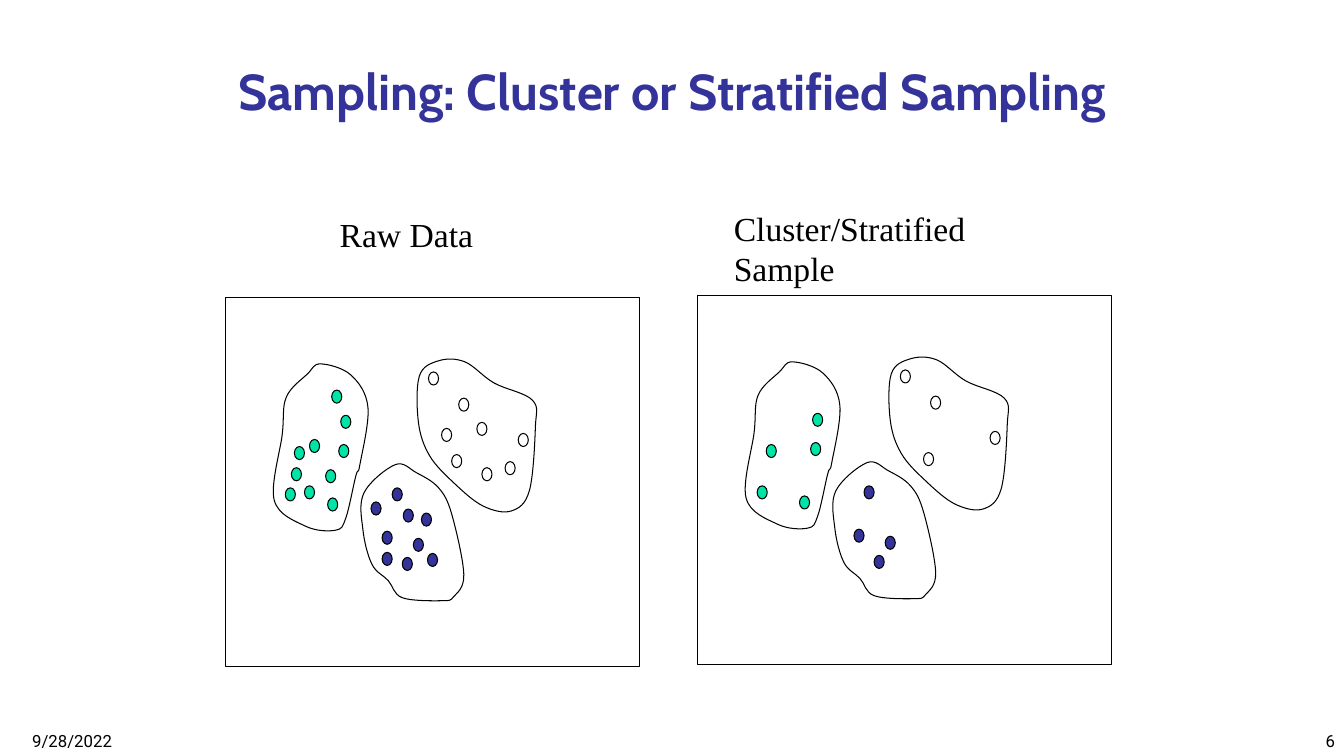
import pptx
import pptx.dml.color
import pptx.enum.shapes
import pptx.enum.text
import pptx.oxml.ns
import pptx.util

ALIGN = pptx.enum.text.PP_ALIGN
ANCHOR = pptx.enum.text.MSO_ANCHOR
PRESET = pptx.enum.shapes.MSO_SHAPE

BLACK, WHITE, NAVY, MINT = "000000", "FFFFFF", "333399", "00E4A8"


def colour(hex_string):
    return pptx.dml.color.RGBColor.from_string(hex_string)


def smooth_loop(anchors):
    controls = []
    for i, here in enumerate(anchors):
        before, after, beyond = (anchors[(i + step) % len(anchors)] for step in (-1, 1, 2))
        leave = [h + (a - b) / 6 for b, h, a in zip(before, here, after)]
        arrive = [a - (f - h) / 6 for h, a, f in zip(here, after, beyond)]
        controls += [leave, arrive, after]
    return controls


class SamplingSlide:
    cell = pptx.util.Inches(1)
    line_width = pptx.util.Pt(0.75)
    dot_size = (0.1, 0.13)

    def __init__(self, presentation):
        self.slide = presentation.slides.add_slide(presentation.slide_layouts[6])
        self.group = None
        self.shift = (0, 0)

    def cells(self, *lengths):
        return [round(length * self.cell) for length in lengths]

    def shifted(self, column, row):
        return self.cells(column + self.shift[0], row + self.shift[1])

    def text(self, words, place, size, font, ink=BLACK, bold=False,
             align=ALIGN.LEFT, anchor=ANCHOR.TOP):
        frame = self.slide.shapes.add_textbox(*self.cells(*place)).text_frame
        frame.word_wrap = True
        frame.vertical_anchor = anchor
        frame.text = words
        paragraph = frame.paragraphs[0]
        paragraph.alignment = align
        style = paragraph.runs[0].font
        style.name, style.size, style.bold = font, pptx.util.Pt(size), bold
        style.color.rgb = colour(ink)

    def finish(self, shape, fill=None):
        shape.shadow.inherit = False
        shape.line.color.rgb = colour(BLACK)
        shape.line.width = self.line_width
        if fill:
            shape.fill.solid()
            shape.fill.fore_color.rgb = colour(fill)
        else:
            shape.fill.background()

    def preset(self, kind, corner, size, fill=None):
        shape = self.group.shapes.add_shape(
            kind, *self.shifted(*corner), *self.cells(*size))
        self.finish(shape, fill)

    def outline(self, anchors):
        builder = self.group.shapes.build_freeform(*self.shifted(*anchors[0]), scale=1.0)
        builder.add_line_segments(
            [self.shifted(*point) for point in smooth_loop(anchors)], close=True)
        shape = builder.convert_to_shape()
        segments = list(shape.element.iter(pptx.oxml.ns.qn("a:lnTo")))
        for first, second, third in zip(segments[::3], segments[1::3], segments[2::3]):
            first.tag = pptx.oxml.ns.qn("a:cubicBezTo")
            for spare in (second, third):
                first.append(spare[0])
                spare.getparent().remove(spare)
        self.finish(shape)

    def panel(self, shift, clusters, sample_only):
        self.group = self.slide.shapes.add_group_shape()
        self.shift = shift
        self.preset(PRESET.RECTANGLE, (2.24, 2.95), (4.1, 3.66))
        for cluster in clusters:
            dots = cluster["sampled"] + ([] if sample_only else cluster["unsampled"])
            for dot in dots:
                self.preset(PRESET.FLOWCHART_CONNECTOR, dot, self.dot_size, cluster["fill"])
            self.outline(cluster["anchors"])


CLUSTERS = [
    {
        "fill": WHITE,
        "sampled": [(4.55, 3.95), (4.48, 4.51), (5.14, 4.3), (4.25, 3.69)],
        "unsampled": [(4.73, 4.19), (4.38, 4.25), (5.01, 4.58), (4.78, 4.64)],
        "anchors": [(5.28, 3.97), (5.31, 4.24), (5.25, 4.87), (5.07, 5.07),
                    (4.79, 5.02), (4.5, 4.79), (4.26, 4.52), (4.15, 4.19),
                    (4.16, 3.73), (4.35, 3.58), (4.61, 3.59), (4.9, 3.8)],
    },
    {
        "fill": NAVY,
        "sampled": [(3.99, 5.53), (4.1, 5.34), (3.79, 5.27), (3.89, 4.84)],
        "unsampled": [(3.68, 4.98), (4.18, 5.09), (3.79, 5.48), (4, 5.05), (4.24, 5.49)],
        "anchors": [(3.85, 5.76), (3.69, 5.6), (3.6, 5.26), (3.61, 4.89),
                    (3.92, 4.61), (4.13, 4.69), (4.35, 4.84), (4.48, 5.1),
                    (4.6, 5.7), (4.5, 5.92), (4.38, 5.96), (3.99, 5.93)],
    },
    {
        "fill": MINT,
        "sampled": [(2.83, 4.84), (2.92, 4.43), (3.25, 4.94), (3.36, 4.41), (3.38, 4.12)],
        "unsampled": [(3.02, 4.82), (2.89, 4.64), (3.23, 4.66), (3.07, 4.36), (3.29, 3.87)],
        "anchors": [(3.53, 4.72), (3.43, 5.14), (3.33, 5.26), (3.03, 5.22),
                    (2.72, 4.96), (2.8, 4.31), (2.84, 3.94), (3.05, 3.71),
                    (3.18, 3.61), (3.48, 3.72), (3.65, 4.04), (3.57, 4.61)],
    },
]


def main():
    presentation = pptx.Presentation()
    presentation.slide_width = pptx.util.Inches(13.33)
    presentation.slide_height = pptx.util.Inches(7.5)
    sampling = SamplingSlide(presentation)
    sampling.text("Sampling: Cluster or Stratified Sampling", (1.92, 0.33, 9.5, 0.92),
                  36, "Cabin", NAVY, True, ALIGN.CENTER, ANCHOR.BOTTOM)
    sampling.panel((0, 0), CLUSTERS, sample_only=False)
    sampling.panel((4.68, -0.02), CLUSTERS, sample_only=True)
    sampling.text("Raw Data", (3.27, 2.07, 1.61, 0.5), 24, "Times New Roman")
    sampling.text("Cluster/Stratified Sample", (7.18, 2.01, 3.5, 0.5), 24, "Times New Roman")
    sampling.text("9/28/2022", (0.22, 7.08, 2.78, 0.42), 12, "Roboto", anchor=ANCHOR.BOTTOM)
    sampling.text("6", (10.56, 7.08, 2.78, 0.42), 12, "Roboto",
                  align=ALIGN.RIGHT, anchor=ANCHOR.BOTTOM)
    presentation.save("out.pptx")


if __name__ == "__main__":
    main()
